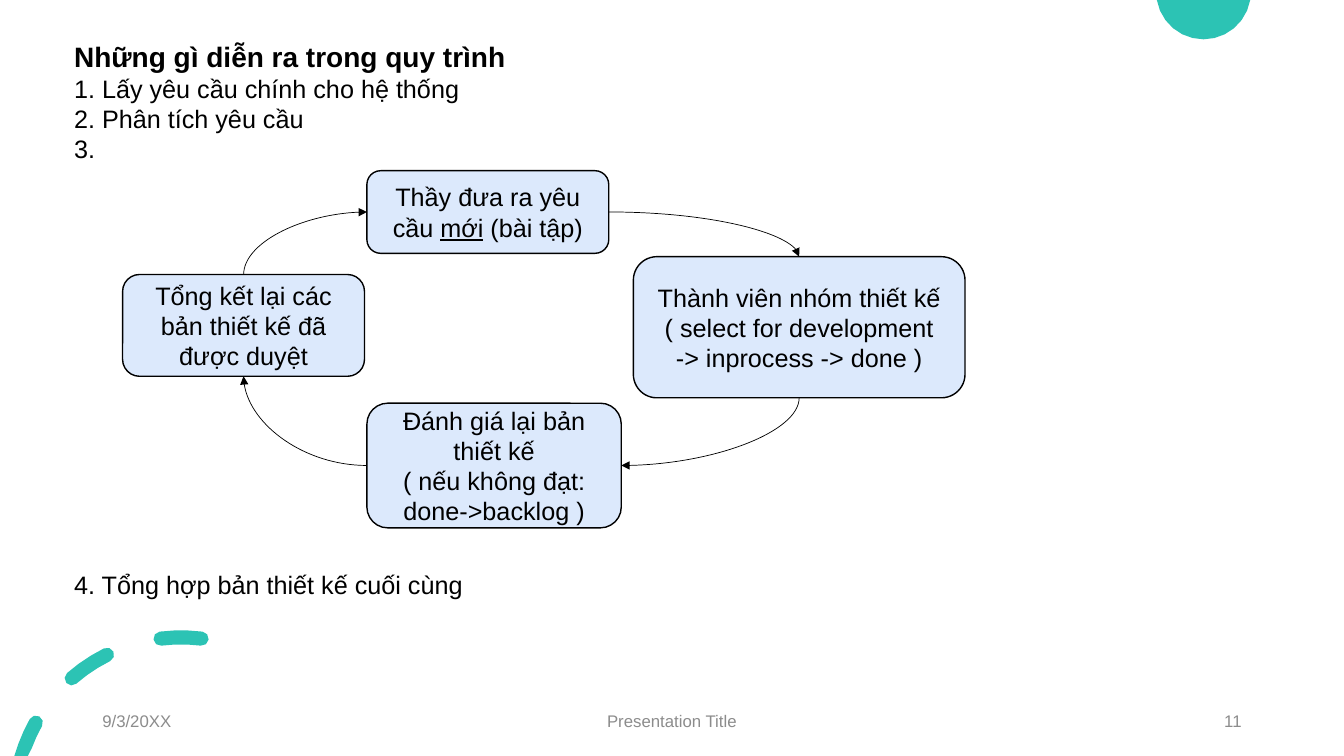
"""Build the design process slide with its four-step review cycle."""
from dataclasses import dataclass
from math import cos, radians, sin

from lxml.etree import SubElement
from pptx import Presentation
from pptx.dml.color import RGBColor
from pptx.enum.shapes import MSO_CONNECTOR, MSO_SHAPE
from pptx.enum.text import MSO_ANCHOR, PP_ALIGN
from pptx.oxml.ns import qn
from pptx.slide import Slide
from pptx.text.text import TextFrame
from pptx.util import Emu, Inches, Pt

COLUMNS, ROWS = 80, 45
CELL = Inches(7.5) / ROWS
TOP, LEFT, BOTTOM, RIGHT = range(4)
Point = tuple[float, float]


@dataclass(frozen=True)
class Theme:
    font: str = "Arial"
    ink: RGBColor = RGBColor(0, 0, 0)
    footer: RGBColor = RGBColor(0x8C, 0x8C, 0x8C)
    accent: RGBColor = RGBColor(0x2C, 0xC3, 0xB4)
    step_fill: RGBColor = RGBColor(0xDC, 0xE9, 0xFC)
    heading_size: float = 20
    body_size: float = 18
    footer_size: float = 12
    outline: float = 1
    arrow: float = 0.5


THEME = Theme()


@dataclass(frozen=True)
class Area:
    column: float
    row: float
    columns: float
    rows: float

    def emu(self) -> list[Emu]:
        return [cells(value) for value in (self.column, self.row, self.columns, self.rows)]

    def side(self, index: int) -> Point:
        across, down = ((0.5, 0), (0, 0.5), (0.5, 1), (1, 0.5))[index]
        return self.column + across * self.columns, self.row + down * self.rows


@dataclass(frozen=True)
class Step:
    area: Area
    lines: tuple[str, ...]
    underlined: str = ""


@dataclass(frozen=True)
class Link:
    start: str
    start_side: int
    end: str
    end_side: int


@dataclass(frozen=True)
class Label:
    area: Area
    lines: tuple[str, ...]
    size: float = THEME.body_size
    color: RGBColor = THEME.ink
    align: PP_ALIGN = PP_ALIGN.LEFT
    anchor: MSO_ANCHOR = MSO_ANCHOR.TOP
    wrap: bool = True
    heading: bool = False


STEPS = {
    "assignment": Step(Area(21.84, 10.16, 14.4, 4.92),
                       ("Thầy đưa ra yêu cầu mới (bài tập)",), "mới"),
    "design": Step(Area(37.7, 15.28, 19.74, 8.4),
                   ("Thành viên nhóm thiết kế",
                    "( select for development -> inprocess -> done )")),
    "review": Step(Area(21.84, 24, 15.14, 7.42),
                   ("Đánh giá lại bản thiết kế", "( nếu không đạt: done->backlog )")),
    "summary": Step(Area(7.3, 16.34, 14.4, 6.06),
                    ("Tổng kết lại các bản thiết kế đã được duyệt",)),
}
LINKS = (
    Link("design", BOTTOM, "review", RIGHT),
    Link("assignment", RIGHT, "design", TOP),
    Link("summary", TOP, "assignment", LEFT),
    Link("review", LEFT, "summary", BOTTOM),
)
FOOTERS = tuple(
    Label(Area(column, 41.7, columns, 2.4), (text,), THEME.footer_size, THEME.footer,
          align, MSO_ANCHOR.MIDDLE)
    for column, columns, text, align in (
        (5.5, 18, "9/3/20XX", PP_ALIGN.LEFT),
        (26.5, 27, "Presentation Title", PP_ALIGN.CENTER),
        (56.5, 18, "11", PP_ALIGN.RIGHT),
    )
)
INTRODUCTION = Label(
    Area(3.82, 2.04, 62.04, 8.1),
    ("Những gì diễn ra trong quy trình\v1. Lấy yêu cầu chính cho hệ thống",
     "2. Phân tích yêu cầu", "3."), heading=True)
CLOSING = Label(Area(3.82, 33.6, 24.66, 2.4), ("4. Tổng hợp bản thiết kế cuối cùng",), wrap=False)
DISC_CENTER, DISC_RADIUS = (71.64, -0.48), 2.82
RING_CENTER, RING_RADIUS, DASH_HALF = (10.78, 47.84), 9.9, 0.42
DASHES = ((-74.1, -60.8), (-41.1, -26.4), (-7.1, 7.1))


def cells(value: float) -> Emu:
    return Emu(round(value * CELL))


def sweep(center: Point, radius: float, start: float, end: float, parts: int) -> list[Point]:
    angles = [radians(start + (end - start) * part / parts) for part in range(parts + 1)]
    return [(center[0] + radius * sin(angle), center[1] - radius * cos(angle))
            for angle in angles]


def dash_outline(start: float, end: float) -> list[Point]:
    first, last = sweep(RING_CENTER, RING_RADIUS, start, end, 1)
    outline = (sweep(RING_CENTER, RING_RADIUS + DASH_HALF, start, end, 3)
               + sweep(last, DASH_HALF, end, end + 180, 4)[1:-1]
               + sweep(RING_CENTER, RING_RADIUS - DASH_HALF, end, start, 3))
    if first[1] < ROWS:
        outline += sweep(first, DASH_HALF, start + 180, start + 360, 4)[1:-1]
    return outline


def draw_outlines(slide: Slide, outlines: list[list[Point]]) -> None:
    contours = [[(cells(column), cells(min(max(row, 0), ROWS))) for column, row in outline]
                for outline in outlines]
    builder = slide.shapes.build_freeform(*contours[0][0], scale=1.0)
    for index, contour in enumerate(contours):
        if index:
            builder.move_to(*contour[0])
        builder.add_line_segments(contour[1:], close=True)
    shape = builder.convert_to_shape()
    shape.shadow.inherit = False
    shape.fill.solid()
    shape.fill.fore_color.rgb = THEME.accent
    shape.line.fill.background()


def write(frame: TextFrame, lines: tuple[str, ...], size: float, color: RGBColor,
          align: PP_ALIGN, underlined: str = "") -> None:
    for index, line in enumerate(lines):
        paragraph = frame.add_paragraph() if index else frame.paragraphs[0]
        paragraph.alignment = align
        if underlined:
            for piece in line.partition(underlined):
                paragraph.add_run().text = piece
        else:
            paragraph.text = line
        for run in paragraph.runs:
            run.font.name, run.font.size = THEME.font, Pt(size)
            run.font.color.rgb = color
            if underlined and run.text == underlined:
                run.font.underline = True


def draw_label(slide: Slide, label: Label) -> None:
    frame = slide.shapes.add_textbox(*label.area.emu()).text_frame
    frame.word_wrap, frame.vertical_anchor = label.wrap, label.anchor
    write(frame, label.lines, label.size, label.color, label.align)
    if label.heading:
        font = frame.paragraphs[0].runs[0].font
        font.bold, font.size = True, Pt(THEME.heading_size)


def draw_step(slide: Slide, step: Step) -> None:
    shape = slide.shapes.add_shape(MSO_SHAPE.ROUNDED_RECTANGLE, *step.area.emu())
    shape.shadow.inherit = False
    shape.fill.solid()
    shape.fill.fore_color.rgb = THEME.step_fill
    shape.line.color.rgb, shape.line.width = THEME.ink, Pt(THEME.outline)
    frame = shape.text_frame
    frame.word_wrap, frame.vertical_anchor = True, MSO_ANCHOR.MIDDLE
    write(frame, step.lines, THEME.body_size, THEME.ink, PP_ALIGN.CENTER, step.underlined)


def draw_link(slide: Slide, link: Link) -> None:
    begin = STEPS[link.start].area.side(link.start_side)
    end = STEPS[link.end].area.side(link.end_side)
    upright = link.start_side in (TOP, BOTTOM)
    across, down = end[0] - begin[0], end[1] - begin[1]
    middle = (begin[0] + across / 2, begin[1] + down / 2)
    if upright:
        across, down = down, -across
    ends = (middle[0] - across / 2, middle[1] - down / 2,
            middle[0] + across / 2, middle[1] + down / 2)
    connector = slide.shapes.add_connector(MSO_CONNECTOR.CURVE, *map(cells, ends))
    connector.line.color.rgb, connector.line.width = THEME.ink, Pt(THEME.arrow)
    properties = connector._element.spPr
    properties.find(qn("a:prstGeom")).set("prst", "curvedConnector2")
    if upright:
        properties.find(qn("a:xfrm")).set("rot", str(90 * 60000))
    SubElement(properties.find(qn("a:ln")), qn("a:tailEnd"), type="triangle")
    SubElement(properties, qn("a:effectLst"))


def main() -> None:
    presentation = Presentation()
    presentation.slide_width, presentation.slide_height = cells(COLUMNS), cells(ROWS)
    slide = presentation.slides.add_slide(presentation.slide_layouts[6])
    draw_outlines(slide, [sweep(DISC_CENTER, DISC_RADIUS, 99.8, 260.2, 12)])
    draw_outlines(slide, [dash_outline(start, end) for start, end in DASHES])
    for draw, items in ((draw_label, (*FOOTERS, INTRODUCTION)), (draw_step, STEPS.values()),
                        (draw_link, LINKS), (draw_label, (CLOSING,))):
        for item in items:
            draw(slide, item)
    presentation.save("out.pptx")


if __name__ == "__main__":
    main()
